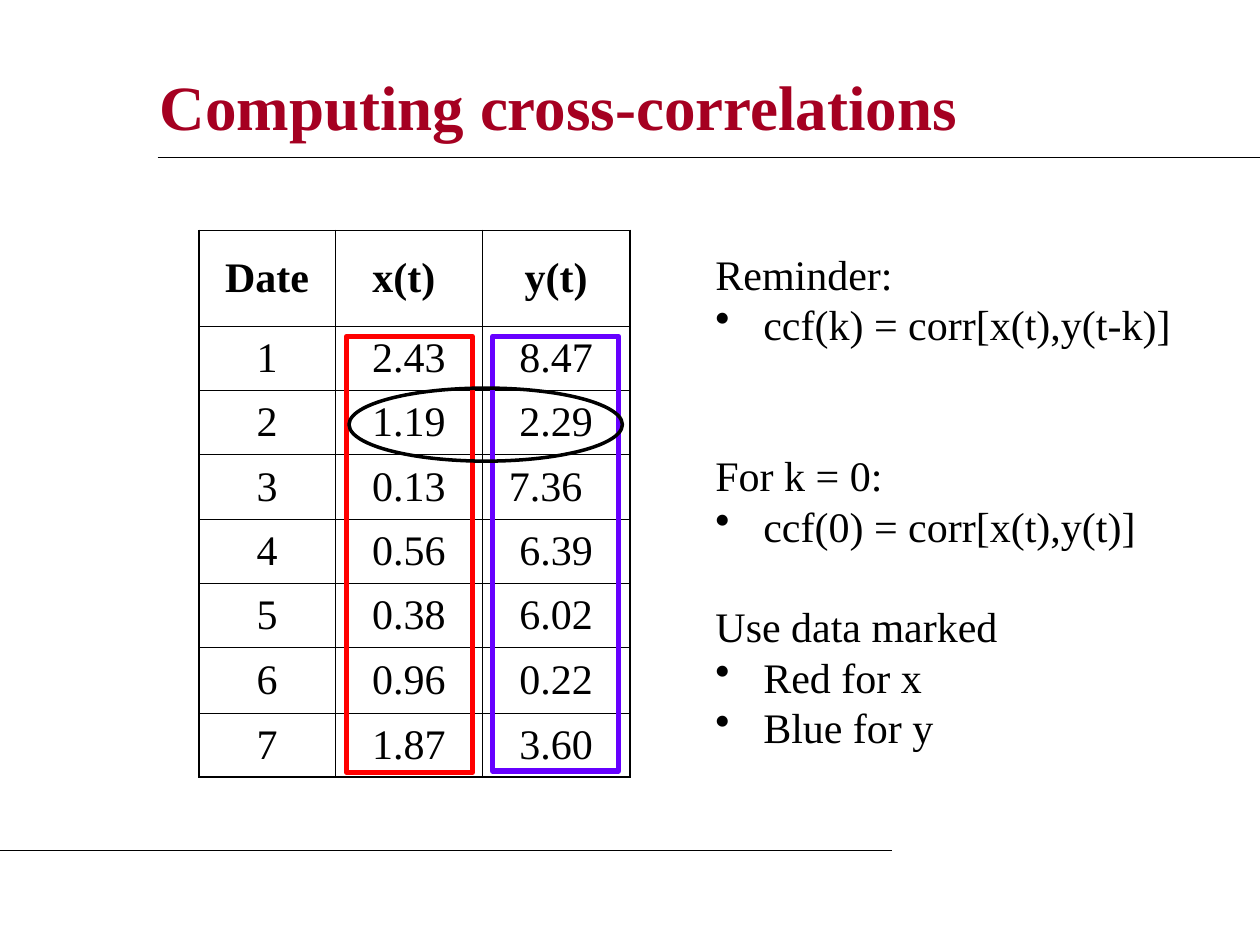
from typing import NamedTuple

from lxml.etree import SubElement
from pptx import Presentation
from pptx.dml.color import RGBColor
from pptx.enum.shapes import MSO_CONNECTOR as Link, MSO_SHAPE as Kind
from pptx.enum.text import MSO_ANCHOR as Anchor, PP_ALIGN as Align
from pptx.oxml.ns import qn
from pptx.util import Inches, Pt

FACE = "Times New Roman"
BLACK = "000000"
THIN, THICK = 0.45, 1.08
PITCH = 28.8


class Rule(NamedTuple):
    start: float
    end: float
    top: float


class Mark(NamedTuple):
    kind: Kind
    left: float
    top: float
    width: float
    height: float
    tint: str
    weight: float


class Note(NamedTuple):
    text: str
    bullet: bool = False
    gap: int = 0


RULES = [Rule(1.25, 10, 1.25), Rule(0, 7.08, 6.75)]
MARKS = [
    Mark(Kind.RECTANGLE, 2.75, 2.67, 1, 3.46, "FF0000", 3),
    Mark(Kind.RECTANGLE, 3.91, 2.67, 1, 3.45, "6600FF", 3),
    Mark(Kind.OVAL, 2.77, 3.08, 2.17, 0.58, BLACK, 2),
]
NOTES = [
    Note("Reminder:"),
    Note("ccf(k) = corr[x(t),y(t-k)]", True),
    Note("For k = 0:", gap=2),
    Note("ccf(0) = corr[x(t),y(t)]", True),
    Note("Use data marked", gap=1),
    Note("Red for x", True),
    Note("Blue for y", True),
]
ROWS = [
    ("Date", "x(t)", "y(t)"),
    ("1", "2.43", "8.47"),
    ("2", "1.19", "2.29"),
    ("3", "0.13", "7.36"),
    ("4", "0.56", "6.39"),
    ("5", "0.38", "6.02"),
    ("6", "0.96", "0.22"),
    ("7", "1.87", "3.60"),
]
WIDTHS = [1.08, 1.17, 1.17]
HEIGHTS = [0.76] + [0.51] * 5 + [0.52, 0.51]
SHIFTS = {(0, 1): 0.08, (3, 2): 0.17}


def color(code: str) -> RGBColor:
    return RGBColor.from_string(code)


def style(para, size: float, tint: str = BLACK, bold: bool = False) -> None:
    for run in para.runs:
        font = run.font
        font.name, font.size, font.bold = FACE, Pt(size), bold
        font.color.rgb = color(tint)


def add_box(slide, left: float, top: float, width: float, height: float):
    box = slide.shapes.add_textbox(
        Inches(left), Inches(top), Inches(width), Inches(height))
    box.text_frame.word_wrap = True
    return box.text_frame


def add_title(slide) -> None:
    frame = add_box(slide, 1.17, 0.42, 8.08, 0.83)
    frame.vertical_anchor = Anchor.MIDDLE
    frame.text = "Computing cross-correlations"
    style(frame.paragraphs[0], 36, "A50021", True)


def add_notes(slide) -> None:
    frame = add_box(slide, 5.58, 1.92, 3.83, 4.17)
    frame.text = "\n".join(note.text for note in NOTES)
    for para, note in zip(frame.paragraphs, NOTES):
        para.line_spacing = Pt(PITCH)
        if note.gap:
            para.space_before = Pt(PITCH * note.gap)
        if note.bullet:
            props = para._p.get_or_add_pPr()
            props.set("marL", str(Inches(0.38)))
            props.set("indent", str(-Inches(0.38)))
            SubElement(props, qn("a:buChar")).set("char", "•")
        style(para, 24)


def add_rule(slide, rule: Rule) -> None:
    line = slide.shapes.add_connector(
        Link.STRAIGHT, Inches(rule.start), Inches(rule.top),
        Inches(rule.end), Inches(rule.top))
    line.line.color.rgb = color(BLACK)
    line.line.width = Pt(0.75)
    SubElement(line._element.spPr, qn("a:effectLst"))


def add_edge(cell, side: str, weight: float) -> None:
    props = cell._tc.get_or_add_tcPr()
    edge = SubElement(props, qn(f"a:ln{side}"), w=str(Pt(weight)))
    fill = SubElement(edge, qn("a:solidFill"))
    SubElement(fill, qn("a:srgbClr"), val=BLACK)


def add_grid(slide) -> None:
    grid = slide.shapes.add_table(
        len(ROWS), len(WIDTHS), Inches(1.58), Inches(1.83),
        Inches(sum(WIDTHS)), Inches(sum(HEIGHTS))).table
    grid.first_row = grid.horz_banding = False
    for col, width in zip(grid.columns, WIDTHS):
        col.width = Inches(width)
    for row, height in zip(grid.rows, HEIGHTS):
        row.height = Inches(height)
    for r, row in enumerate(ROWS):
        for c, text in enumerate(row):
            cell = grid.cell(r, c)
            outer = {"L": c == 0, "R": c == len(row) - 1,
                     "T": r == 0, "B": r == len(ROWS) - 1}
            for side, thick in outer.items():
                add_edge(cell, side, THICK if thick else THIN)
            cell.fill.background()
            cell.vertical_anchor = Anchor.MIDDLE
            cell.margin_right = Inches(0.1 + SHIFTS.get((r, c), 0))
            cell.text_frame.text = text
            para = cell.text_frame.paragraphs[0]
            para.alignment = Align.CENTER
            style(para, 24, bold=r == 0)


def add_mark(slide, mark: Mark) -> None:
    shape = slide.shapes.add_shape(
        mark.kind, Inches(mark.left), Inches(mark.top),
        Inches(mark.width), Inches(mark.height))
    shape.shadow.inherit = False
    shape.fill.background()
    shape.line.color.rgb = color(mark.tint)
    shape.line.width = Pt(mark.weight)


def main() -> None:
    deck = Presentation()
    deck.slide_width, deck.slide_height = Inches(10), Inches(7.5)
    slide = deck.slides.add_slide(deck.slide_layouts[6])
    add_title(slide)
    add_notes(slide)
    for rule in RULES:
        add_rule(slide, rule)
    add_grid(slide)
    for mark in MARKS:
        add_mark(slide, mark)
    deck.save("out.pptx")


if __name__ == "__main__":
    main()
